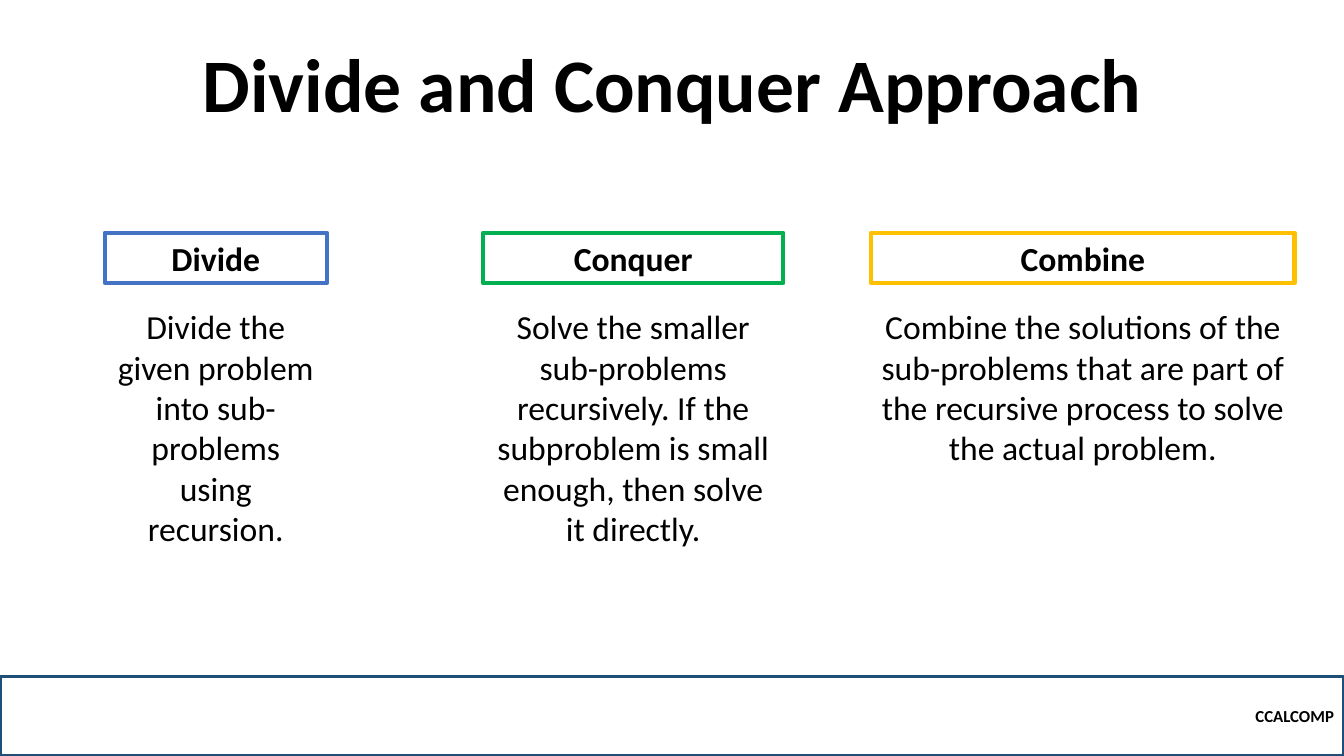
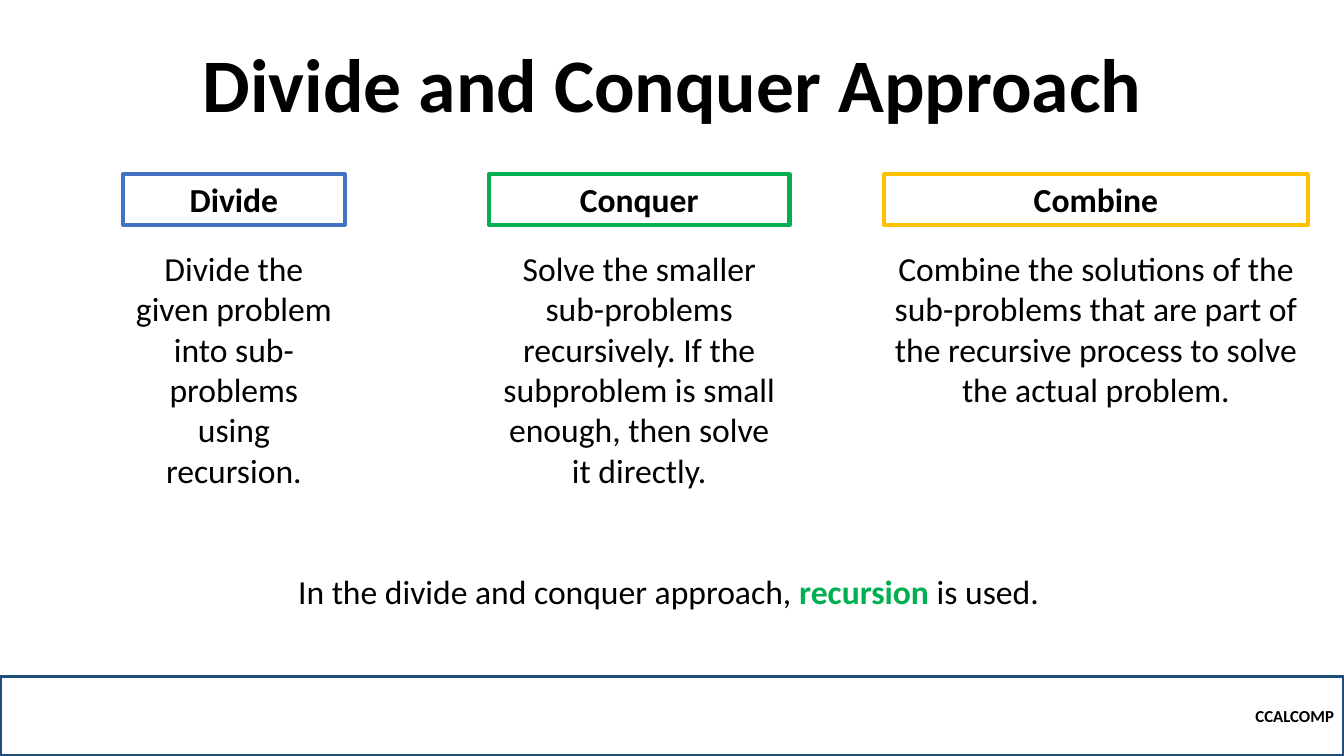
from pptx import Presentation
from pptx.dml.color import RGBColor
from pptx.enum.shapes import MSO_SHAPE
from pptx.enum.text import MSO_ANCHOR, MSO_AUTO_SIZE, PP_ALIGN
from pptx.util import Inches, Pt

FONT = "Calibri"
BLACK, WHITE, NAVY = "000000", "FFFFFF", "1F4E79"
BLUE, GREEN, AMBER = "4472C4", "00B050", "FFC000"

TITLE = "Divide and Conquer Approach"
FOOTER = "CCALCOMP"
STEPS = [
    ("Divide", BLUE, 2.2, 2.52,
     "Divide the given problem into sub-problems using recursion."),
    ("Conquer", GREEN, 2.98, 2.52,
     "Solve the smaller sub-problems recursively. If the subproblem is small "
     "enough, then solve it directly."),
    ("Combine", AMBER, 4.2, 1.72,
     "Combine the solutions of the sub-problems that are part of the recursive "
     "process to solve the actual problem."),
]
CONCLUSION = [
    ("In the divide and conquer approach, ", BLACK, False),
    ("recursion", GREEN, True),
    (" is used.", BLACK, False),
]
SLIDES = [
    {"top": 2.31, "lefts": (1.04, 4.79, 8.64), "conclusion": None},
    {"top": 1.73, "lefts": (1.22, 4.85, 8.77), "conclusion": CONCLUSION},
]
SLIDE_W, SLIDE_H = 13.33, 7.5
FOOTER_H = 0.79
HEADING_H = 0.5
BODY_OFFSET = 0.68


def color(value):
    return RGBColor.from_string(value)


def write(shape, content, size=24, bold=False, align=PP_ALIGN.CENTER,
          anchor=MSO_ANCHOR.TOP, spacing=None, fit=MSO_AUTO_SIZE.NONE):
    frame = shape.text_frame
    frame.word_wrap = True
    frame.auto_size = fit
    frame.vertical_anchor = anchor
    paragraph = frame.paragraphs[0]
    paragraph.alignment = align
    if spacing:
        paragraph.line_spacing = spacing
    runs = [(content, BLACK, bold)] if isinstance(content, str) else content
    for words, ink, strong in runs:
        run = paragraph.add_run()
        run.text = words
        run.font.name = FONT
        run.font.size = Pt(size)
        run.font.bold = strong
        run.font.color.rgb = color(ink)


def add_box(shapes, left, top, width, height, content, line=WHITE, weight=1,
            fill=WHITE, **text_format):
    box = shapes.add_shape(MSO_SHAPE.RECTANGLE, Inches(left), Inches(top),
                           Inches(width), Inches(height))
    box.shadow.inherit = False
    if fill:
        box.fill.solid()
        box.fill.fore_color.rgb = color(fill)
    else:
        box.fill.background()
    box.line.color.rgb = color(line)
    box.line.width = Pt(weight)
    write(box, content, **text_format)


def add_frame(slide):
    title = slide.shapes.title
    title.left, title.top = Inches(1.67), Inches(0.54)
    title.width, title.height = Inches(10), Inches(0.79)
    write(title, TITLE, size=54, bold=True, anchor=MSO_ANCHOR.BOTTOM, spacing=0.9)
    add_box(slide.shapes, 0, SLIDE_H - FOOTER_H, SLIDE_W, FOOTER_H, FOOTER,
            line=NAVY, weight=2.25, fill=None, size=12, bold=True,
            align=PP_ALIGN.RIGHT, anchor=MSO_ANCHOR.MIDDLE)


def add_step(slide, left, top, step):
    heading, accent, width, body_height, body = step
    card = slide.shapes.add_group_shape().shapes
    add_box(card, left, top + BODY_OFFSET, width, body_height, body,
            fit=MSO_AUTO_SIZE.SHAPE_TO_FIT_TEXT)
    add_box(card, left, top, width, HEADING_H, heading, line=accent, weight=3,
            bold=True, fit=MSO_AUTO_SIZE.SHAPE_TO_FIT_TEXT)


def main():
    deck = Presentation()
    deck.slide_width, deck.slide_height = Inches(SLIDE_W), Inches(SLIDE_H)
    for plan in SLIDES:
        slide = deck.slides.add_slide(deck.slide_layouts[5])
        add_frame(slide)
        for left, step in zip(plan["lefts"], STEPS):
            add_step(slide, left, plan["top"], step)
        if plan["conclusion"]:
            add_box(slide.shapes, 2.65, 5.61, 7.96, HEADING_H, plan["conclusion"],
                    fit=MSO_AUTO_SIZE.SHAPE_TO_FIT_TEXT)
    deck.save("out.pptx")


if __name__ == "__main__":
    main()
